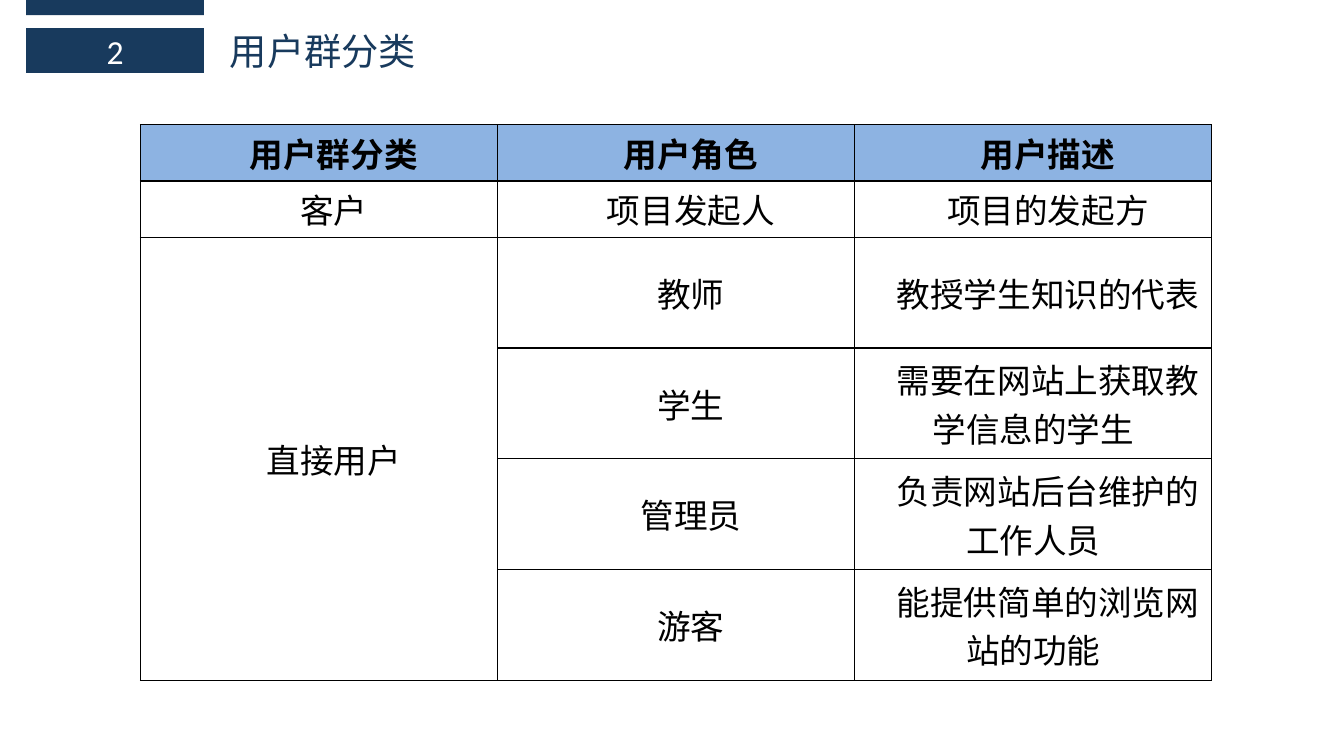
from dataclasses import dataclass

import pptx
import pptx.dml.color
import pptx.enum.shapes
import pptx.enum.text
import pptx.oxml
import pptx.oxml.ns
import pptx.presentation
import pptx.slide
import pptx.table
import pptx.text.text
import pptx.util
from pptx.util import Cm

NAVY = pptx.dml.color.RGBColor(0x18, 0x3A, 0x5D)
HEADER_BLUE = pptx.dml.color.RGBColor(0x8D, 0xB3, 0xE2)
WHITE = pptx.dml.color.RGBColor(0xFF, 0xFF, 0xFF)
BLACK = pptx.dml.color.RGBColor(0x00, 0x00, 0x00)
LATIN_FONT = "Calibri"
CHINESE_FONT = "Noto Sans CJK SC"
MIDDLE = pptx.enum.text.MSO_ANCHOR.MIDDLE
CENTER = pptx.enum.text.PP_ALIGN.CENTER

COLUMN_WIDTH = Cm(9)
ROW_HEIGHTS = [Cm(1.42)] * 2 + [Cm(2.79)] * 4
ROWS = [
    ("用户群分类", "用户角色", "用户描述"),
    ("客户", "项目发起人", "项目的发起方"),
    ("直接用户", "教师", "教授学生知识的代表"),
    ("", "学生", "需要在网站上获取教学信息的学生"),
    ("", "管理员", "负责网站后台维护的工作人员"),
    ("", "游客", "能提供简单的浏览网站的功能"),
]


@dataclass
class Bar:
    top: float
    height: float
    label: str = ""


BARS = [Bar(0, 0.38), Bar(0.71, 1.13, "2")]


def format_runs(
    para: pptx.text.text._Paragraph,
    size: float,
    color: pptx.dml.color.RGBColor,
    latin: str = LATIN_FONT,
    bold: bool = False,
) -> None:
    for span in para.runs:
        span.font.size = pptx.util.Pt(size)
        span.font.bold = bold
        span.font.color.rgb = color
        span.font.name = latin
        east_asian = pptx.oxml.parse_xml(
            f'<a:ea {pptx.oxml.ns.nsdecls("a")} typeface="{CHINESE_FONT}"/>'
        )
        span.font._element.append(east_asian)


def draw_bar(slide: pptx.slide.Slide, bar: Bar) -> None:
    box = slide.shapes.add_shape(
        pptx.enum.shapes.MSO_SHAPE.RECTANGLE,
        Cm(0.66), Cm(bar.top), Cm(4.48), Cm(bar.height),
    )
    box.shadow.inherit = False
    box.fill.solid()
    box.fill.fore_color.rgb = NAVY
    box.line.fill.background()
    if bar.label:
        box.text_frame.text = bar.label
        box.text_frame.vertical_anchor = MIDDLE
        para = box.text_frame.paragraphs[0]
        para.alignment = CENTER
        format_runs(para, 24, WHITE)


def place_title(slide: pptx.slide.Slide) -> None:
    title = slide.shapes.title
    title.left, title.top = Cm(5.54), Cm(0.58)
    title.width, title.height = Cm(16.81), Cm(1.4)
    title.text_frame.text = "用户群分类"
    title.text_frame.auto_size = pptx.enum.text.MSO_AUTO_SIZE.NONE
    title.text_frame.vertical_anchor = MIDDLE
    para = title.text_frame.paragraphs[0]
    para.alignment = pptx.enum.text.PP_ALIGN.LEFT
    format_runs(para, 26.6, NAVY, CHINESE_FONT)


def add_borders(cell: pptx.table._Cell) -> None:
    """Draw a thin black line on all four sides; call before setting the fill."""
    properties = cell._tc.get_or_add_tcPr()
    for side in ("lnL", "lnR", "lnT", "lnB"):
        properties.append(pptx.oxml.parse_xml(
            f'<a:{side} {pptx.oxml.ns.nsdecls("a")} w="{pptx.util.Pt(1)}">'
            f'<a:solidFill><a:srgbClr val="{BLACK}"/></a:solidFill></a:{side}>'
        ))


def fill_cell(cell: pptx.table._Cell, text: str, is_header: bool) -> None:
    add_borders(cell)
    if is_header:
        cell.fill.solid()
        cell.fill.fore_color.rgb = HEADER_BLUE
    else:
        cell.fill.background()
    cell.vertical_anchor = MIDDLE
    cell.margin_left = cell.margin_right = Cm(0.19)
    cell.margin_top = cell.margin_bottom = 0
    cell.text_frame.text = text
    para = cell.text_frame.paragraphs[0]
    para.alignment = CENTER
    para._p.get_or_add_pPr().set("indent", str(Cm(0.74)))
    format_runs(para, 24, BLACK, bold=is_header)


def draw_user_table(slide: pptx.slide.Slide) -> None:
    column_count = len(ROWS[0])
    table = slide.shapes.add_table(
        len(ROWS), column_count, Cm(3.54), Cm(3.14),
        COLUMN_WIDTH * column_count, sum(ROW_HEIGHTS),
    ).table
    table.horz_banding = False
    for column in table.columns:
        column.width = COLUMN_WIDTH
    for row_index, (texts, height) in enumerate(zip(ROWS, ROW_HEIGHTS)):
        table.rows[row_index].height = height
        for column_index, text in enumerate(texts):
            fill_cell(table.cell(row_index, column_index), text, row_index == 0)
    table.cell(2, 0).merge(table.cell(len(ROWS) - 1, 0))


def main() -> None:
    deck: pptx.presentation.Presentation = pptx.Presentation()
    deck.slide_width, deck.slide_height = Cm(33.87), Cm(19.05)
    slide = deck.slides.add_slide(deck.slide_layouts.get_by_name("Title Only"))
    for bar in BARS:
        draw_bar(slide, bar)
    place_title(slide)
    draw_user_table(slide)
    deck.save("out.pptx")


if __name__ == "__main__":
    main()
